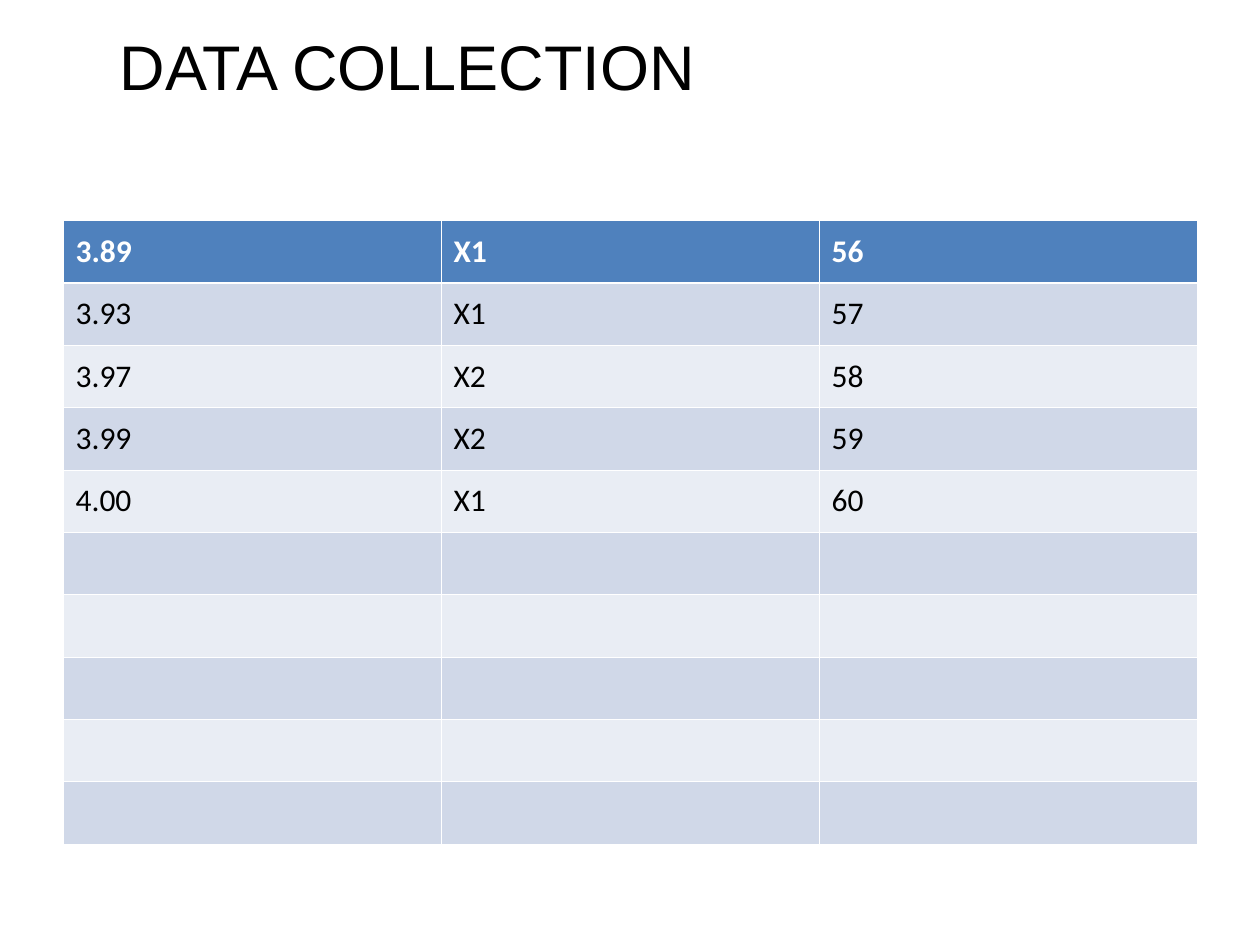
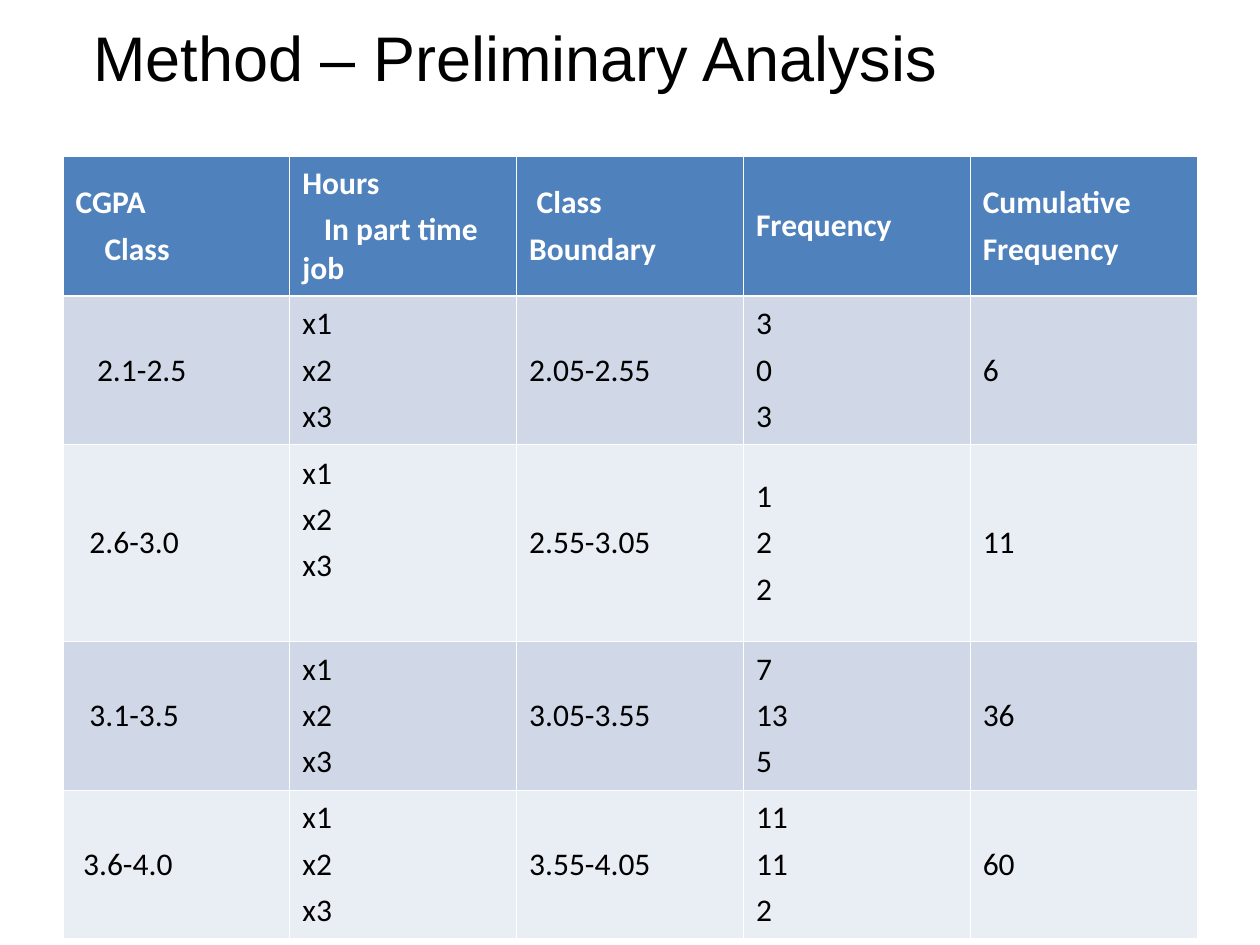
from dataclasses import dataclass

from lxml.etree import SubElement
from pptx import Presentation
from pptx.dml.color import RGBColor
from pptx.enum.text import MSO_ANCHOR, MSO_AUTO_SIZE, PP_ALIGN
from pptx.oxml.ns import qn
from pptx.util import Inches, Pt


@dataclass(frozen=True)
class Theme:
    title_font: str = "Arial"
    body_font: str = "Calibri"
    title_size: float = 36
    body_size: float = 18
    line_gap: float = 4.5
    thin_rule: float = 0.45
    header_rule: float = 1.47
    text: str = "000000"
    white: str = "FFFFFF"
    header: str = "4F81BD"
    bands: tuple = ("D0D8E8", "E9EDF4")


THEME = Theme()
TABLE_LEFT, TABLE_WIDTH = 0.5, 9


@dataclass(frozen=True)
class Indented:
    """A line of cell text whose first line starts further in, by inches."""
    text: str
    indent: float


COLLECTED = [
    ("3.89", "X1", "56"),
    ("3.93", "X1", "57"),
    ("3.97", "X2", "58"),
    ("3.99", "X2", "59"),
    ("4.00", "X1", "60"),
] + [("", "", "")] * 5

HOURS = ("x1", "x2", "x3")
FREQUENCIES = [
    (("CGPA", Indented("Class", 0.23)),
     ("Hours", Indented("In part time job", 0.17)),
     (Indented("Class", 0.06), "Boundary"),
     "Frequency",
     ("Cumulative", "Frequency")),
    (Indented("2.1-2.5", 0.17), HOURS, "2.05-2.55", ("3", "0", "3"), "6"),
    (Indented("2.6-3.0", 0.11), HOURS, "2.55-3.05", ("1", "2", "2"), "11"),
    (Indented("3.1-3.5", 0.11), HOURS, "3.05-3.55", ("7", "13", "5"), "36"),
    (Indented("3.6-4.0", 0.06), HOURS, "3.55-4.05", ("11", "11", "2"), "60"),
]


def add_span(para, text, font, size, color, bold=False):
    span = para.add_run()
    span.text = text
    span.font.name = font
    span.font.size = Pt(size)
    span.font.bold = bold
    span.font.color.rgb = RGBColor.from_string(color)


def set_indent(para, inches):
    para._p.get_or_add_pPr().set("indent", str(Inches(inches)))


def add_titled_page(deck, title, left, top, width, height, indent=0):
    page = deck.slides.add_slide(deck.slide_layouts[5])
    box = page.shapes.title
    box.left, box.top = Inches(left), Inches(top)
    box.width, box.height = Inches(width), Inches(height)
    frame = box.text_frame
    frame.word_wrap = True
    frame.auto_size = MSO_AUTO_SIZE.NONE
    frame.vertical_anchor = MSO_ANCHOR.MIDDLE
    para = frame.paragraphs[0]
    para.alignment = PP_ALIGN.LEFT
    set_indent(para, indent)
    add_span(para, title, THEME.title_font, THEME.title_size, THEME.text)
    return page


def add_borders(cell, top, bottom):
    """Draw white cell borders; call before the fill, as the schema orders them."""
    properties = cell._tc.get_or_add_tcPr()
    widths = {"lnL": THEME.thin_rule, "lnR": THEME.thin_rule,
              "lnT": top, "lnB": bottom}
    for side, width in widths.items():
        line = SubElement(properties, qn(f"a:{side}"), w=str(Pt(width)))
        fill = SubElement(line, qn("a:solidFill"))
        SubElement(fill, qn("a:srgbClr"), val=THEME.white)


def fill_cell(cell, content, row_index):
    is_header = row_index == 0
    add_borders(cell,
                top=THEME.header_rule if row_index == 1 else THEME.thin_rule,
                bottom=THEME.header_rule if is_header else THEME.thin_rule)
    background = THEME.header if is_header else THEME.bands[(row_index - 1) % 2]
    cell.fill.solid()
    cell.fill.fore_color.rgb = RGBColor.from_string(background)
    cell.vertical_anchor = MSO_ANCHOR.MIDDLE

    lines = content if isinstance(content, tuple) else (content,)
    for index, line in enumerate(lines):
        if not line:
            continue
        frame = cell.text_frame
        para = frame.add_paragraph() if index else frame.paragraphs[0]
        if index:
            para.space_before = Pt(THEME.line_gap)
        text = line
        if isinstance(line, Indented):
            set_indent(para, line.indent)
            text = line.text
        add_span(para, text, THEME.body_font, THEME.body_size,
                 THEME.white if is_header else THEME.text, bold=is_header)


def add_banded_table(page, rows, top, row_heights):
    frame = page.shapes.add_table(
        len(rows), len(rows[0]), Inches(TABLE_LEFT), Inches(top),
        Inches(TABLE_WIDTH), Inches(sum(row_heights)))
    table = frame.table
    for row_index, (row, height) in enumerate(zip(rows, row_heights)):
        table.rows[row_index].height = Inches(height)
        for column_index, content in enumerate(row):
            fill_cell(table.cell(row_index, column_index), content, row_index)
    return table


def add_data_collection(deck):
    page = add_titled_page(deck, "DATA COLLECTION", 0.85, -0.11, 9, 1.25)
    row_height = 4.95 / len(COLLECTED)
    add_banded_table(page, COLLECTED, 1.75, [row_height] * len(COLLECTED))


def add_preliminary_analysis(deck):
    page = add_titled_page(deck, "Method – Preliminary Analysis",
                           0.5, 0.21, 9, 0.48, indent=0.14)
    table = add_banded_table(page, FREQUENCIES, 1.24,
                             [1.11, 1.18, 1.56, 1.18, 1.18])
    raised_hours = table.cell(2, 1)
    raised_hours.margin_bottom = Inches(0.42)


def main():
    deck = Presentation()
    deck.slide_width, deck.slide_height = Inches(10), Inches(7.5)
    add_data_collection(deck)
    add_preliminary_analysis(deck)
    deck.save("out.pptx")


if __name__ == "__main__":
    main()
